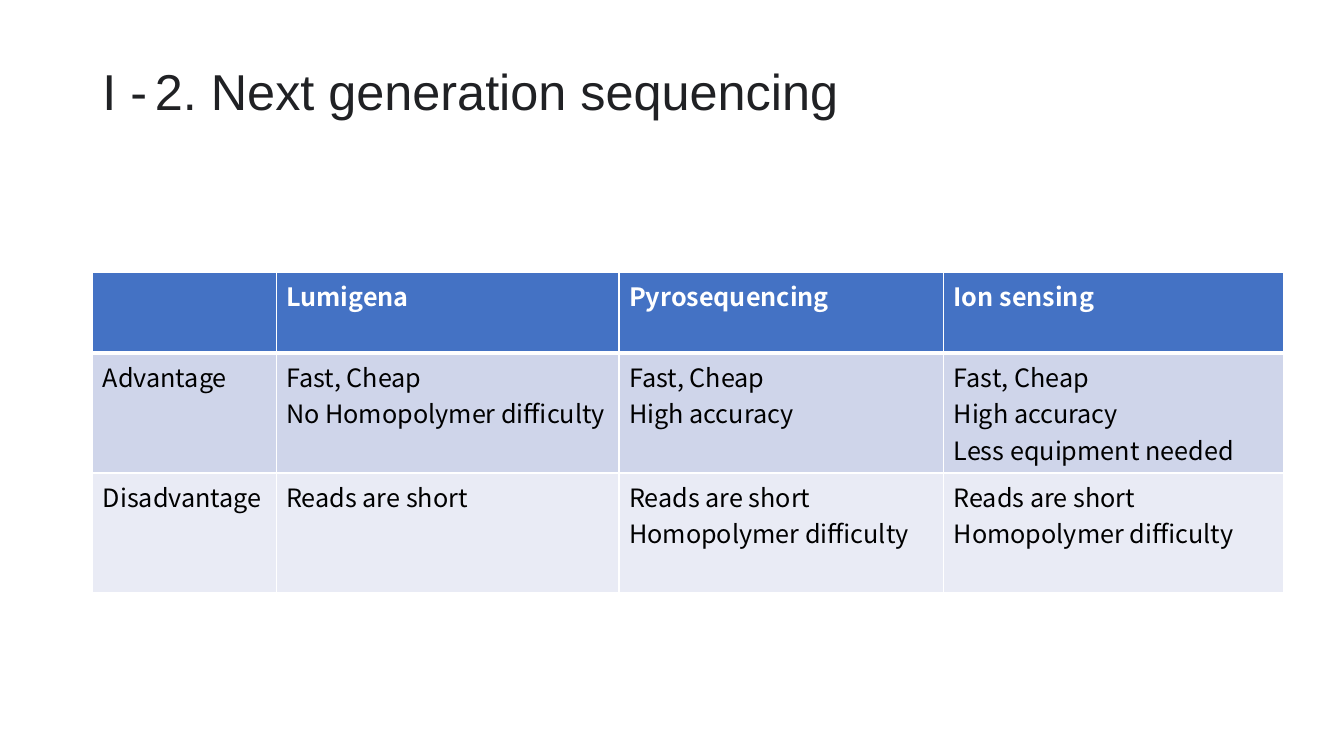
from lxml import etree
from pptx import Presentation
from pptx import util as u
from pptx.dml.color import RGBColor
from pptx.enum import text
from pptx.oxml.ns import qn

Cm, Pt = u.Cm, u.Pt
INK = RGBColor(0x20, 0x21, 0x24)
BLACK = RGBColor(0, 0, 0)
WHITE = RGBColor(0xFF, 0xFF, 0xFF)
BLUE = RGBColor(0x44, 0x72, 0xC4)
BANDS = RGBColor(0xCF, 0xD5, 0xEA), RGBColor(0xE9, 0xEB, 0xF5)
SANS, BODY = "Arial", "Noto Sans CJK KR"

COLS = 4.62, 8.64, 8.18, 8.58
ROWS = 2.03, 3.02, 3.02
CELLS = [
    ["", "Lumigena", "Pyrosequencing", "Ion sensing"],
    ["Advantage",
     "Fast, Cheap\nNo Homopolymer difficulty",
     "Fast, Cheap\nHigh accuracy",
     "Fast, Cheap\nHigh accuracy\nLess equipment needed"],
    ["Disadvantage",
     "Reads are short",
     "Reads are short\nHomopolymer difficulty",
     "Reads are short\nHomopolymer difficulty"],
]


def write(frame, words, size=18, font=BODY, color=BLACK, bold=False, space=None):
    """Fill a frame, one paragraph per line of words."""
    frame.text = words
    for para in frame.paragraphs:
        para.line_spacing = space
        for item in (para, *para.runs):
            item.font.size = Pt(size)
            item.font.name = font
            item.font.bold = bold
            item.font.color.rgb = color


def border(cell, side, width):
    line = etree.SubElement(cell._tc.get_or_add_tcPr(), qn("a:ln" + side),
                            w=str(Pt(width)))
    fill = etree.SubElement(line, qn("a:solidFill"))
    etree.SubElement(fill, qn("a:srgbClr"), val=str(WHITE))


def title(slide, left, top, width, height):
    box = slide.shapes.add_textbox(Cm(left), Cm(top), Cm(width), Cm(height))
    frame = box.text_frame
    frame.word_wrap = True
    frame.vertical_anchor = text.MSO_ANCHOR.TOP
    frame.margin_top = Cm(0.68)
    write(frame, "I -", size=36, font=SANS, color=INK, space=0.9)
    # The gap after the dash is smaller than the words
    para = frame.paragraphs[0]
    for words, size in ((" ", 20), ("2. Next generation sequencing", 36)):
        run = para.add_run()
        run.text = words
        run.font.size = Pt(size)
        run.font.name = SANS
        run.font.color.rgb = INK


def grid(slide, left, top):
    table = slide.shapes.add_table(len(ROWS), len(COLS), Cm(left), Cm(top),
                                   Cm(sum(COLS)), Cm(sum(ROWS))).table
    for col, width in zip(table.columns, COLS):
        col.width = Cm(width)
    for r, (row, height) in enumerate(zip(table.rows, ROWS)):
        row.height = Cm(height)
        head = r == 0
        for cell, words in zip(row.cells, CELLS[r]):
            # Thick rule between the header and the body
            for side, width in (("L", 1), ("R", 1), ("T", 3 if r == 1 else 1),
                                ("B", 3 if head else 1)):
                border(cell, side, width)
            cell.fill.solid()
            cell.fill.fore_color.rgb = BLUE if head else BANDS[r - 1]
            write(cell.text_frame, words, bold=head,
                  color=WHITE if head else BLACK)


def main():
    deck = Presentation()
    deck.slide_width, deck.slide_height = Cm(33.87), Cm(19.05)
    slide = deck.slides.add_slide(deck.slide_layouts[6])
    title(slide, 2.33, 1.01, 29.21, 4.06)
    grid(slide, 2.34, 6.87)
    deck.save("out.pptx")


if __name__ == "__main__":
    main()
